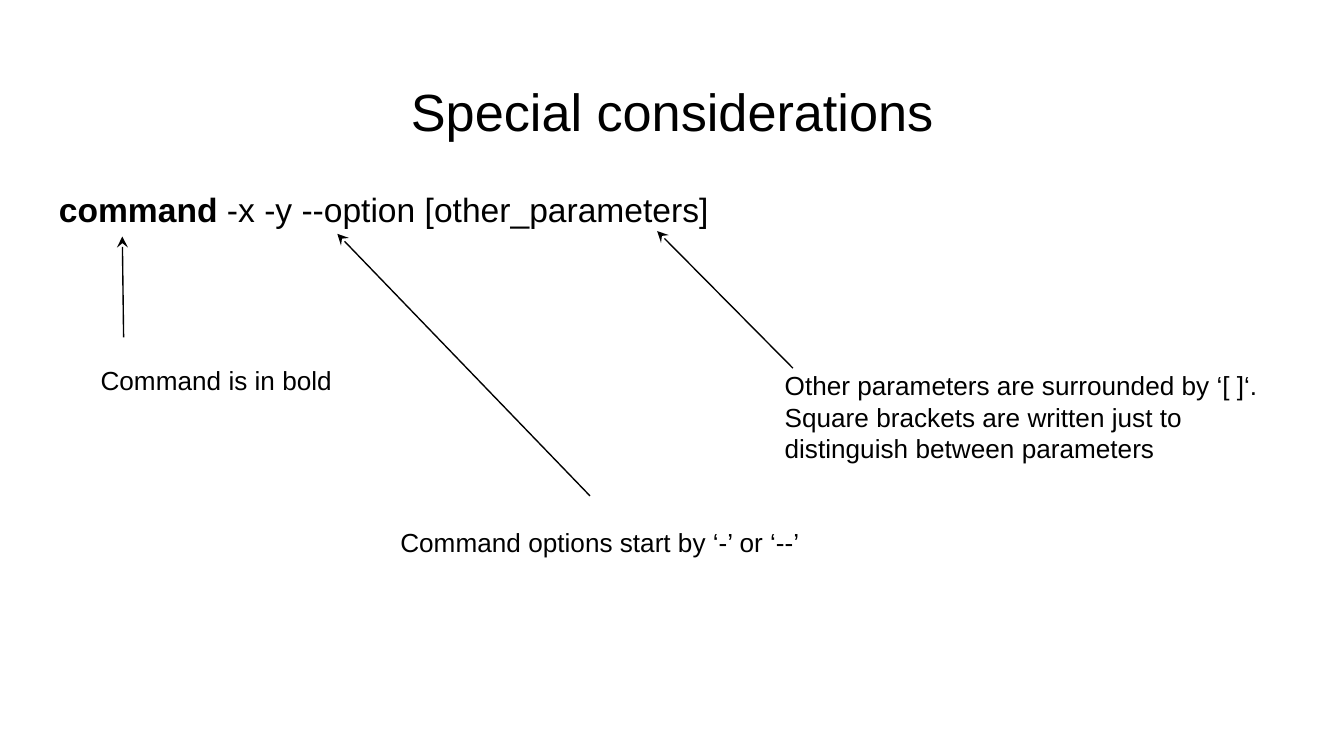
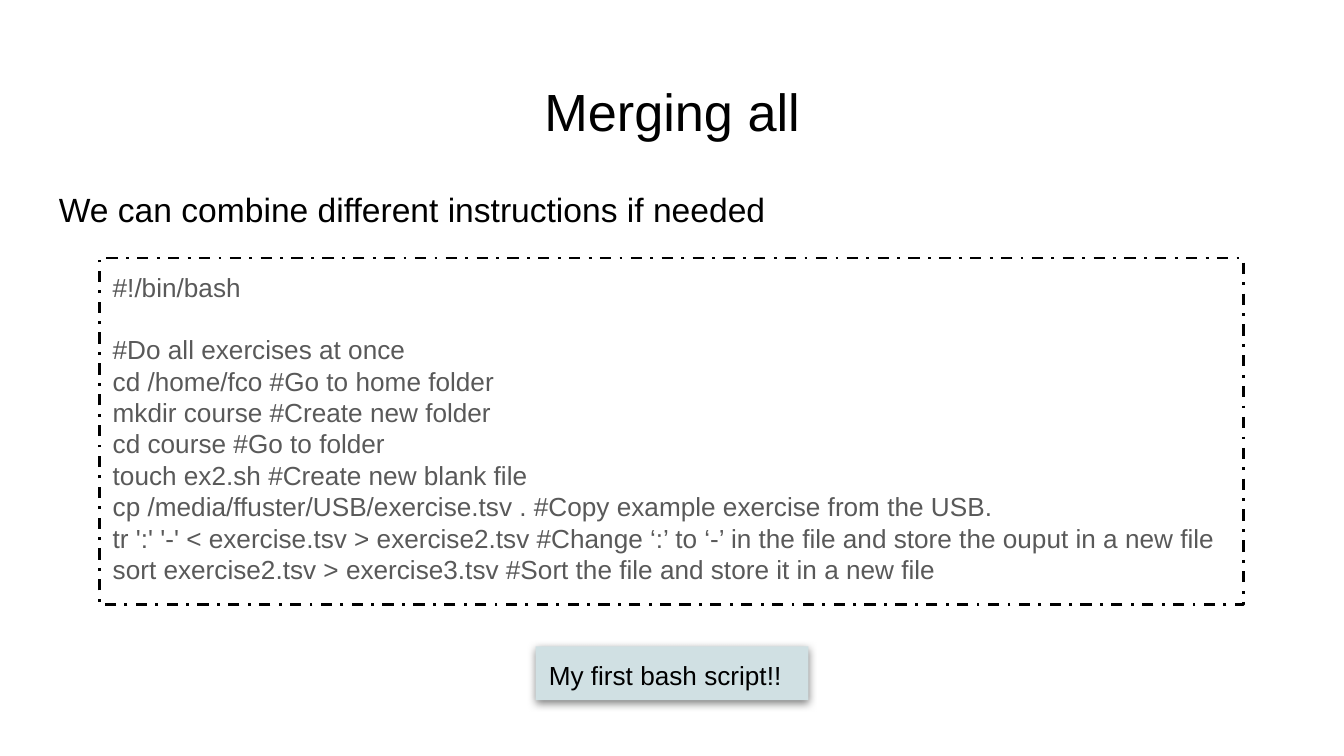
from collections import namedtuple

from lxml.etree import SubElement as add_xml
from pptx import Presentation
from pptx.dml.color import RGBColor as Rgb
from pptx.enum.dml import MSO_LINE_DASH_STYLE as Dash
from pptx.enum.shapes import MSO_CONNECTOR_TYPE as Connector, MSO_SHAPE as Shape
from pptx.enum.text import MSO_ANCHOR as Anchor, PP_ALIGN as Align
from pptx.oxml.ns import qn
from pptx.util import Inches, Pt

CELL = Inches(0.1)
COLUMNS, ROWS = 100, 56.25
FONT = "Arial"
COLORS = {"ink": "000000", "code": "595959", "badge": "D0E0E3", "paper": "FFFFFF"}

Box = namedtuple("Box", "column row columns rows")
TITLE = Box(3.4, 4.9, COLUMNS - 6.8, 6.3)
BODY = Box(3.4, 12.6, COLUMNS - 6.8, 37.4)

COMMAND = [("command ", True), ("-x -y --option [other_parameters]", False)]
CALLOUTS = [
    ("Command is in bold", Box(3.1, 13.5, 19.7, 4.1), (5.8, 12.5), (5.7, 5)),
    ("Command options start by ‘-’ or ‘--’", Box(25.4, 25.6, 34.5, 4.1),
     (40.5, 24.3), (21.7, 4.8)),
    ("Other parameters are surrounded by ‘[ ]‘. Square brackets are written just to "
     "distinguish between parameters", Box(54, 13.9, 37.6, 9.5), (55.6, 14.8), (45.5, 4.6)),
]
SCRIPT_BLOCKS = [
    ["#!/bin/bash"],
    [
        "#Do all exercises at once",
        "cd /home/fco #Go to home folder",
        "mkdir course #Create new folder",
        "cd course #Go to folder",
        "touch ex2.sh #Create new blank file",
        "cp /media/ffuster/USB/exercise.tsv . #Copy example exercise from the USB.",
        "tr ':' '-' < exercise.tsv > exercise2.tsv #Change ‘:’ to ‘-’ in the file "
        "and store the ouput in a new file",
        "sort exercise2.tsv > exercise3.tsv #Sort the file and store it in a new file",
    ],
]


def cells(*counts):
    """Turn grid counts into slide lengths."""
    return [round(count * CELL) for count in counts]


def inside(box, part):
    """Place a part relative to the corner of a box."""
    return part._replace(column=box.column + part.column, row=box.row + part.row)


def assign(target, **values):
    """Set several attributes on one object."""
    for name, value in values.items():
        setattr(target, name, value)


def color(name):
    """Look up a palette colour."""
    return Rgb.from_string(COLORS[name])


def add_para(frame, spans, size, ink="ink", **layout):
    """Write one paragraph of (text, bold) spans."""
    para = frame.paragraphs[0]
    if para.runs:
        para = frame.add_paragraph()
    assign(para, **{"alignment": Align.LEFT, **layout})
    for text, bold in spans:
        span = para.add_run()
        span.text = text
        assign(span.font, name=FONT, size=Pt(size), bold=bold)
        span.font.color.rgb = color(ink)


def prepare_frame(shape):
    """Give a shape the shared text margins and return its frame."""
    frame = shape.text_frame
    margins = {f"margin_{side}": CELL for side in ("left", "top", "right", "bottom")}
    assign(frame, word_wrap=True, vertical_anchor=Anchor.TOP, **margins)
    return frame


def add_text(page, box, spans, size, **layout):
    """Add a text box holding one paragraph."""
    shape = page.shapes.add_textbox(*cells(*box))
    add_para(prepare_frame(shape), spans, size, **layout)


def add_panel(page, box):
    """Add a plain rectangle without fill, line or shadow."""
    panel = page.shapes.add_shape(Shape.RECTANGLE, *cells(*box))
    panel.shadow.inherit = False
    panel.fill.background()
    panel.line.fill.background()
    return panel


def add_arrow(page, box, start, end):
    """Draw a thin arrow between two grid points of a box."""
    points = [box.column + start[0], box.row + start[1],
              box.column + end[0], box.row + end[1]]
    arrow = page.shapes.add_connector(Connector.STRAIGHT, *cells(*points))
    arrow.line.color.rgb = color("ink")
    arrow.line.width = Pt(0.75)
    properties = arrow._element.spPr
    add_xml(properties.find(qn("a:ln")), qn("a:tailEnd"), type="stealth")
    add_xml(properties, qn("a:effectLst"))


def add_page(deck, title, lead):
    """Start a slide with its centred title and lead line."""
    page = deck.slides.add_slide(deck.slide_layouts[6])
    page.background.fill.solid()
    page.background.fill.fore_color.rgb = color("paper")
    add_text(page, TITLE, [(title, False)], 28, alignment=Align.CENTER)
    add_text(page, BODY, lead, 18, line_spacing=1.15)
    return page


def add_callouts(page, box):
    """Explain each part of the command with a note and an arrow."""
    for note, place, start, end in CALLOUTS:
        add_text(page, inside(box, place), [(note, False)], 14)
        add_arrow(page, box, start, end)


def add_script(page, box):
    """Show the bash script in a dash-dotted frame."""
    panel = add_panel(page, inside(box, Box(4, 6.6, 85.1, 25.8)))
    panel.line.color.rgb = color("ink")
    assign(panel.line, width=Pt(1.5), dash_style=Dash.DASH_DOT)
    frame = prepare_frame(panel)
    for block in SCRIPT_BLOCKS:
        for line in block:
            add_para(frame, [(line, False)], 14, ink="code")
        if block is not SCRIPT_BLOCKS[-1]:
            frame.paragraphs[-1].space_after = Pt(16.5)


def add_badge(page, box, text):
    """Add a shaded badge centred below the script."""
    width = 20.3
    badge = add_panel(page, inside(box, Box((box.columns - width) / 2, 35.5, width, 4)))
    badge.fill.solid()
    badge.fill.fore_color.rgb = color("badge")
    effects = badge._element.spPr.find(qn("a:effectLst"))
    shadow = add_xml(effects, qn("a:outerShdw"), blurRad=str(Pt(4.5)), dist=str(Pt(1.5)),
                     dir="5400000", algn="bl", rotWithShape="0")
    shade = add_xml(shadow, qn("a:srgbClr"), val=COLORS["ink"])
    add_xml(shade, qn("a:alpha"), val="50000")
    add_para(prepare_frame(badge), [(text, False)], 14)


def main():
    """Build and save the deck."""
    deck = Presentation()
    deck.slide_width, deck.slide_height = cells(COLUMNS, ROWS)
    add_callouts(add_page(deck, "Special considerations", COMMAND), BODY)
    lead = [("We can combine different instructions if needed", False)]
    page = add_page(deck, "Merging all", lead)
    add_script(page, BODY)
    add_badge(page, BODY, "My first bash script!!")
    deck.save("out.pptx")


if __name__ == "__main__":
    main()
